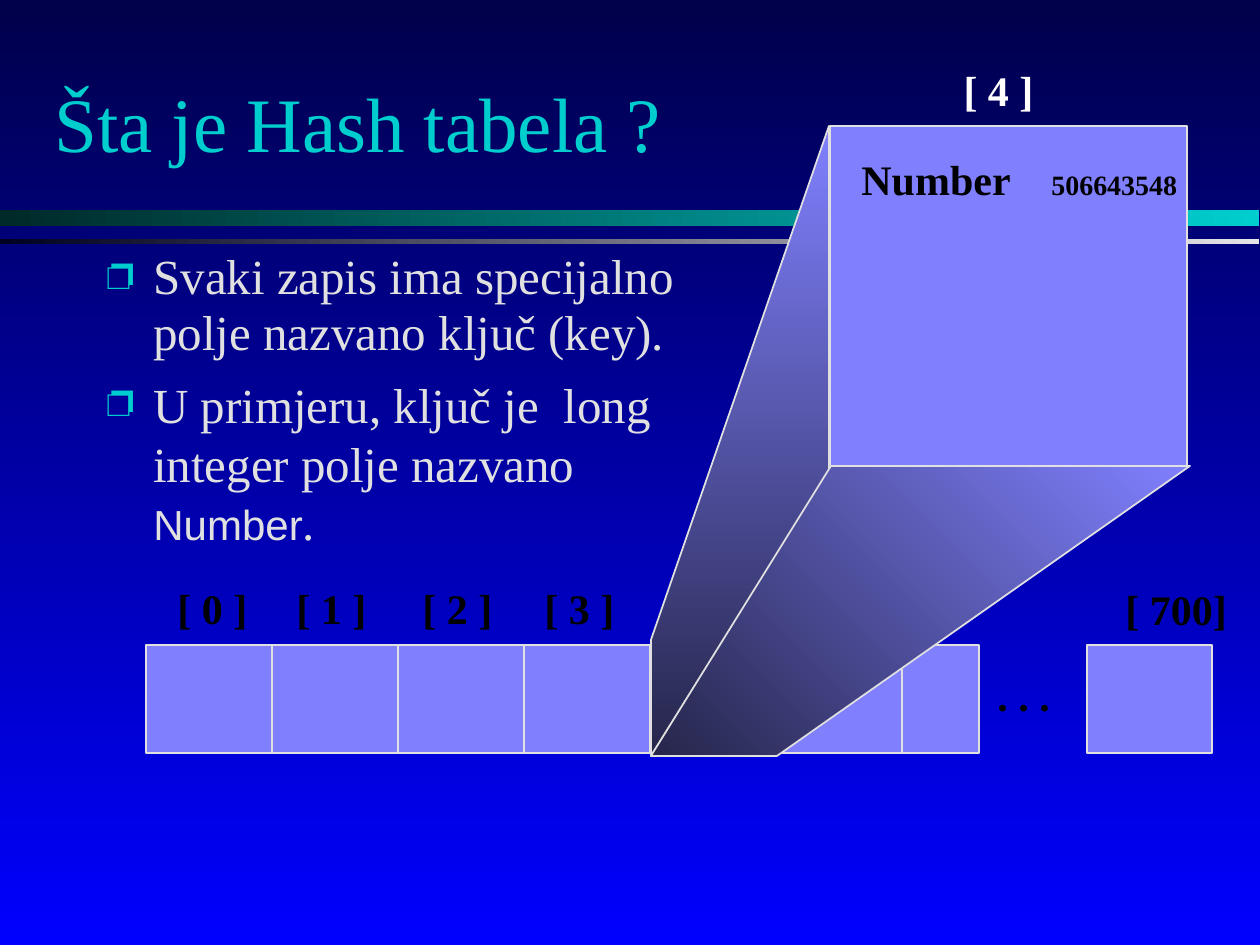
from lxml.etree import SubElement
from pptx import Presentation
from pptx.dml.color import RGBColor
from pptx.enum.shapes import MSO_CONNECTOR, MSO_SHAPE
from pptx.enum.text import MSO_ANCHOR, PP_ALIGN
from pptx.oxml.ns import qn
from pptx.util import Inches, Pt

SCALE = Inches(1) / 126
HEX = {
    "night": "00004B", "blue": "0000FF", "teal": "00CECE", "deep": "002929",
    "mist": "E4E4E7", "ink": "000020", "cell": "8080FF", "shade": "26264B",
    "line": "E0E0E0", "black": "000000", "white": "FFFFFF",
}


def px(n):
    return round(n * SCALE)


def color(name):
    return RGBColor.from_string(HEX[name])


def blend(fill, start, end, angle):
    fill.gradient()
    fill.gradient_angle = 360 - angle
    for stop, name in zip(fill.gradient_stops, (start, end)):
        stop.color.rgb = color(name)


def edge(line):
    line.color.rgb = color("line")
    line.width = Pt(1)


def block(slide, x, y, w, h):
    shape = slide.shapes.add_shape(MSO_SHAPE.RECTANGLE, px(x), px(y), px(w), px(h))
    shape.shadow.inherit = False
    return shape


def bar(slide, y, h, start, end):
    shape = block(slide, 0, y, 1259, h)
    blend(shape.fill, start, end, 180)
    shape.line.fill.background()


def cell(slide, x, y, w, h):
    shape = block(slide, x, y, w, h)
    shape.fill.solid()
    shape.fill.fore_color.rgb = color("cell")
    edge(shape.line)


def rule(slide, x, top, end):
    line = slide.shapes.add_connector(
        MSO_CONNECTOR.STRAIGHT, px(x), px(top), px(x), px(end))
    edge(line.line)
    SubElement(line._element.spPr, qn("a:effectLst"))


def side(slide, points, angle):
    pen = slide.shapes.build_freeform(*points[0], scale=SCALE)
    pen.add_line_segments(points[1:], close=True)
    shape = pen.convert_to_shape()
    shape.shadow.inherit = False
    blend(shape.fill, "cell", "shade", angle)
    edge(shape.line)


def frame(slide, x, y, w, h, wrap=True, anchor=MSO_ANCHOR.TOP):
    box = slide.shapes.add_textbox(px(x), px(y), px(w), px(h)).text_frame
    box.word_wrap = wrap
    box.vertical_anchor = anchor
    return box


def write(para, text, size=24, ink="black", font="Times New Roman", bold=False):
    run = para.add_run()
    run.text = text
    run.font.size = Pt(size)
    run.font.name = font
    run.font.bold = bold
    run.font.color.rgb = color(ink)


def bullet(para):
    props = para._p.get_or_add_pPr()
    props.set("marL", str(px(47)))
    props.set("indent", str(px(-47)))
    tint = SubElement(props, qn("a:buClr"))
    SubElement(tint, qn("a:srgbClr"), val=HEX["teal"])
    SubElement(props, qn("a:buSzPct"), val="75000")
    SubElement(props, qn("a:buFont"), typeface="Times New Roman")
    SubElement(props, qn("a:buChar"), char="❐")


def tab(para, x):
    stops = SubElement(para._p.get_or_add_pPr(), qn("a:tabLst"))
    SubElement(stops, qn("a:tab"), pos=str(px(x)), algn="l")


def label(slide, text, x, y, w=95, align=PP_ALIGN.CENTER, ink="black"):
    para = frame(slide, x, y, w, 59, wrap=False).paragraphs[0]
    para.alignment = align
    para.line_spacing = 0.93
    write(para, text, ink=ink, bold=True)


def heading(slide):
    para = frame(slide, 42, 47, 1071, 158, anchor=MSO_ANCHOR.MIDDLE).paragraphs[0]
    para.line_spacing = 0.95
    write(para, "Šta je Hash tabela ?", size=44, ink="teal")


def body(slide):
    box = frame(slide, 94, 244, 624, 567)
    first, second = box.paragraphs[0], box.add_paragraph()
    for para in (first, second):
        bullet(para)
    first.line_spacing = 0.95
    second.space_before = Pt(7)
    write(first, "Svaki zapis ima specijalno polje nazvano ključ (key).",
          size=28, ink="line")
    write(second, "U primjeru, ključ je  long integer polje nazvano ",
          size=28, ink="line")
    write(second, "Number", ink="line", font="Arial")
    write(second, ".", size=28, ink="line")


def array(slide):
    top, high, step = 645, 108, 126
    cell(slide, 146, top, 833, high)
    for i in range(1, 7):
        rule(slide, 146 + step * i, top, top + high)
    for i, x in enumerate((165, 284, 410, 532)):
        label(slide, f"[ {i} ]", x, 581)
    cell(slide, 1087, top, 125, high)
    label(slide, ". . .", 985, 668, w=78, align=PP_ALIGN.LEFT)
    label(slide, "[ 700]", 1113, 582, w=140, align=PP_ALIGN.LEFT)


def record(slide):
    cell(slide, 830, 126, 357, 341)
    side(slide, [(651, 640), (829, 126), (829, 472), (651, 756)], 90)
    side(slide, [(651, 756), (831, 466), (1190, 466), (777, 756)], 135)
    label(slide, "[ 4 ]", 951, 63, ink="white")
    para = frame(slide, 849, 152, 360, 59).paragraphs[0]
    tab(para, 190)
    para.line_spacing = 0.93
    write(para, "Number\t", bold=True)
    write(para, "506643548", size=16, bold=True)


def main():
    deck = Presentation()
    deck.slide_width, deck.slide_height = px(1260), px(945)
    slide = deck.slides.add_slide(deck.slide_layouts[6])
    blend(slide.background.fill, "night", "blue", 90)
    bar(slide, 210, 16, "teal", "deep")
    bar(slide, 239, 5, "mist", "ink")
    heading(slide)
    body(slide)
    array(slide)
    record(slide)
    deck.save("out.pptx")


if __name__ == "__main__":
    main()
